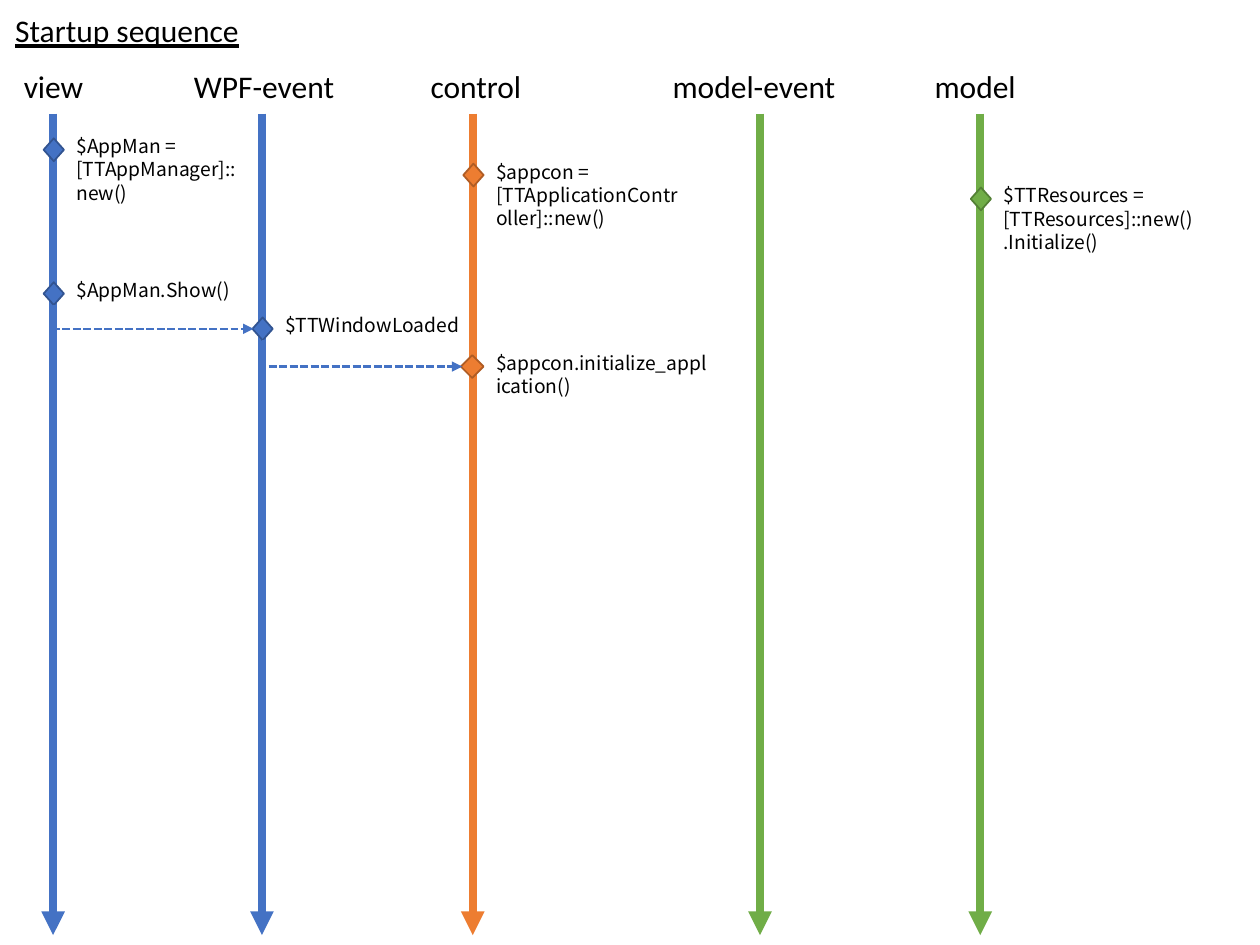
from lxml.etree import SubElement
from pptx import Presentation
from pptx.dml.color import RGBColor
from pptx.enum.dml import MSO_LINE
from pptx.enum.shapes import MSO_CONNECTOR, MSO_SHAPE
from pptx.enum.text import MSO_ANCHOR, MSO_AUTO_SIZE, PP_ALIGN
from pptx.oxml.ns import qn
from pptx.util import Cm, Pt

BLUE, ORANGE, GREEN = "4472C4", "ED7D31", "70AD47"
OUTLINES = {BLUE: "325491", ORANGE: "AF5C24", GREEN: "538035"}


def rgb(value):
    return RGBColor.from_string(value)


class SequenceSlide:
    """Style of the diagram and the slide it is drawn on."""

    heading = {"name": "Calibri", "size": Pt(18), "bold": False}
    code = {"name": "Noto Sans CJK JP", "size": Pt(11)}
    life_top, life_bottom = 2.29, 18.85
    label_top, label_height = 1.22, 1.02
    note_gap, marker_drop, marker_height = 0.22, 0.2, 0.46

    def __init__(self, prs):
        self.s = prs.slides.add_slide(prs.slide_layouts[5])

    def fill_text(self, sp, text, font, wrap):
        tf = sp.text_frame
        frame = {"word_wrap": wrap, "auto_size": MSO_AUTO_SIZE.SHAPE_TO_FIT_TEXT,
                 "vertical_anchor": MSO_ANCHOR.TOP}
        for key, value in frame.items():
            setattr(tf, key, value)
        p = tf.paragraphs[0]
        p.alignment = PP_ALIGN.LEFT
        r = p.add_run()
        r.text = text
        for key, value in font.items():
            setattr(r.font, key, value)
        r.font.color.rgb = rgb("000000")

    def title(self, text, left, top, width, height):
        sp = self.s.shapes.title
        place = {"left": left, "top": top, "width": width, "height": height}
        for key, value in place.items():
            setattr(sp, key, Cm(value))
        self.fill_text(sp, text, {**self.heading, "underline": True}, False)

    def text(self, shapes, text, box, font, wrap):
        sp = shapes.add_textbox(*map(Cm, box))
        self.fill_text(sp, text, font, wrap)

    def label(self, text, left, width):
        box = (left, self.label_top, width, self.label_height)
        self.text(self.s.shapes, text, box, self.heading, False)

    def arrow(self, shapes, kind, ends, color, width, dash=None):
        c = shapes.add_connector(kind, *map(Cm, ends))
        c.line.color.rgb = rgb(color)
        c.line.width = Pt(width)
        if dash:
            c.line.dash_style = dash
        props = c._element.spPr
        SubElement(props.find(qn("a:ln")), qn("a:tailEnd"), type="triangle")
        SubElement(props, qn("a:effectLst"))
        return c

    def lifeline(self, shapes, x, color):
        ends = (x, self.life_top, x, self.life_bottom)
        self.arrow(shapes, MSO_CONNECTOR.STRAIGHT, ends, color, 4.5)

    def event(self, text, x, top, width, lines, color, marker=0.41):
        shapes = self.s.shapes.add_group_shape().shapes
        left = x + self.note_gap
        box = (left, top, width, 0.26 + 0.47 * lines)
        self.text(shapes, text, box, self.code, True)
        sp = shapes.add_shape(MSO_SHAPE.DIAMOND, Cm(left - marker),
                              Cm(top + self.marker_drop), Cm(marker),
                              Cm(self.marker_height))
        sp.fill.solid()
        sp.fill.fore_color.rgb = rgb(color)
        sp.line.color.rgb = rgb(OUTLINES[color])
        sp.line.width = Pt(1)
        sp.shadow.inherit = False

    def call(self, x1, y1, x2, y2):
        """Dashed elbow that goes down first, then right."""
        # The elbow is turned by 270 degrees, so its frame is the call's
        # frame with width and height swapped about the same centre.
        cx, cy = (x1 + x2) / 2, (y1 + y2) / 2
        half_w, half_h = (y2 - y1) / 2, (x2 - x1) / 2
        ends = (cx + half_w, cy - half_h, cx - half_w, cy + half_h)
        c = self.arrow(self.s.shapes, MSO_CONNECTOR.ELBOW, ends, BLUE, 1.5,
                       MSO_LINE.SQUARE_DOT)
        props = c._element.spPr
        props.find(qn("a:xfrm")).set("rot", str(270 * 60000))
        props.find(qn("a:prstGeom")).set("prst", "bentConnector2")


def main():
    prs = Presentation()
    prs.slide_width, prs.slide_height = Cm(25.4), Cm(19.05)
    diagram = SequenceSlide(prs)
    diagram.title("Startup sequence", 0.05, 0.1, 5.08, 1.02)

    # Lanes: name, label left, label width, lifeline x, colour
    lanes = [
        ("view", 0.23, 1.73, 1.07, BLUE),
        ("WPF-event", 3.66, 3.38, 5.28, BLUE),
        ("control", 8.43, 2.36, 9.53, ORANGE),
        ("model-event", 13.31, 3.84, 15.32, GREEN),
        ("model", 18.59, 2.16, 19.76, GREEN),
    ]
    lifelines = diagram.s.shapes.add_group_shape().shapes
    for name, left, width, x, color in lanes:
        diagram.label(name, left, width)
        diagram.lifeline(lifelines, x, color)
    view, wpf, control, _, model = [lane[3] for lane in lanes]

    # Events: text, lifeline x, top, width, lines, colour
    events = [
        ("$AppMan = [TTAppManager]::new()", view, 2.59, 3.86, 3, BLUE),
        ("$AppMan.Show()", view, 5.49, 3.86, 1, BLUE),
        ("$TTWindowLoaded", wpf, 6.2, 4.39, 1, BLUE),
        ("$appcon.initialize_application()", control, 6.96, 4.85, 2, ORANGE, 0.46),
        ("$appcon = [TTApplicationController]::new()", control, 3.1, 4.39, 3, ORANGE),
        ("$TTResources = [TTResources]::new().Initialize()", model, 3.58, 4.39, 3, GREEN),
    ]
    for event in events:
        diagram.event(*event)

    # Calls between lanes
    diagram.call(1.1, 6.15, 5.11, 6.63)
    diagram.call(5.31, 6.86, 9.32, 7.39)

    prs.save("out.pptx")


if __name__ == "__main__":
    main()
